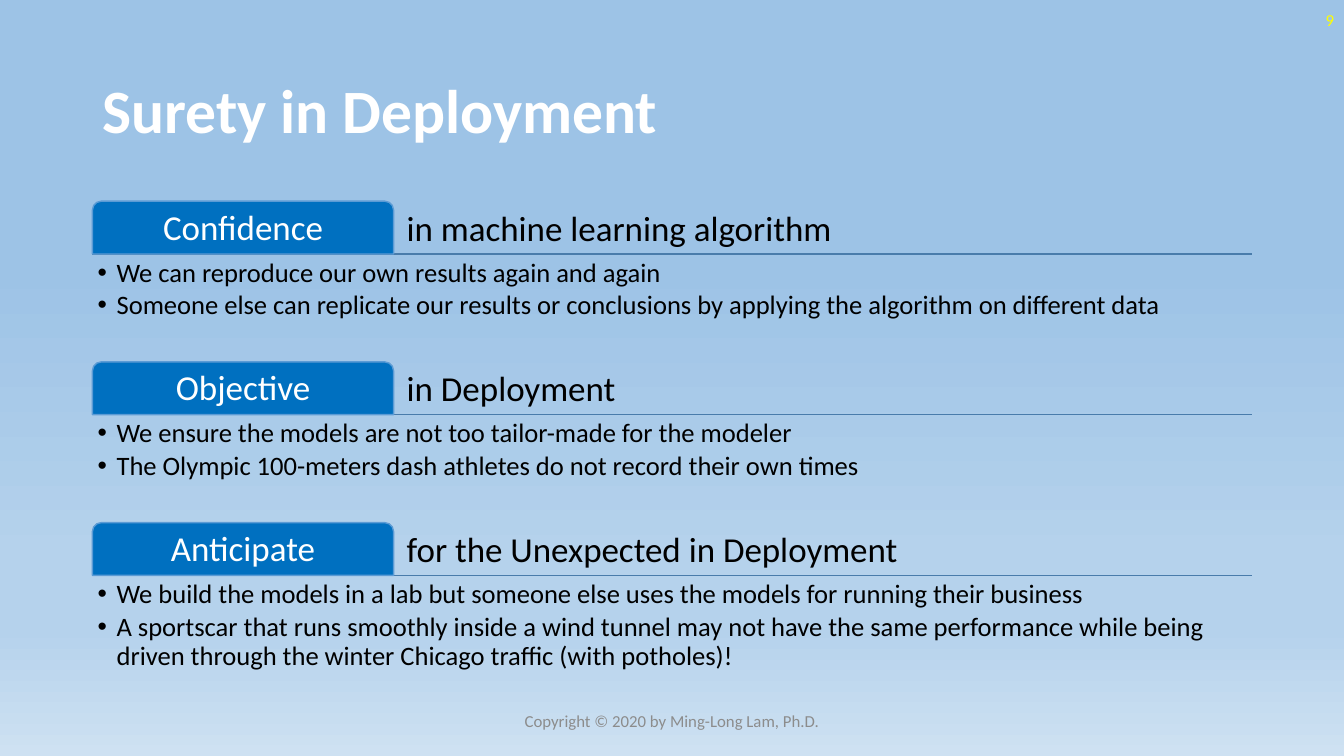
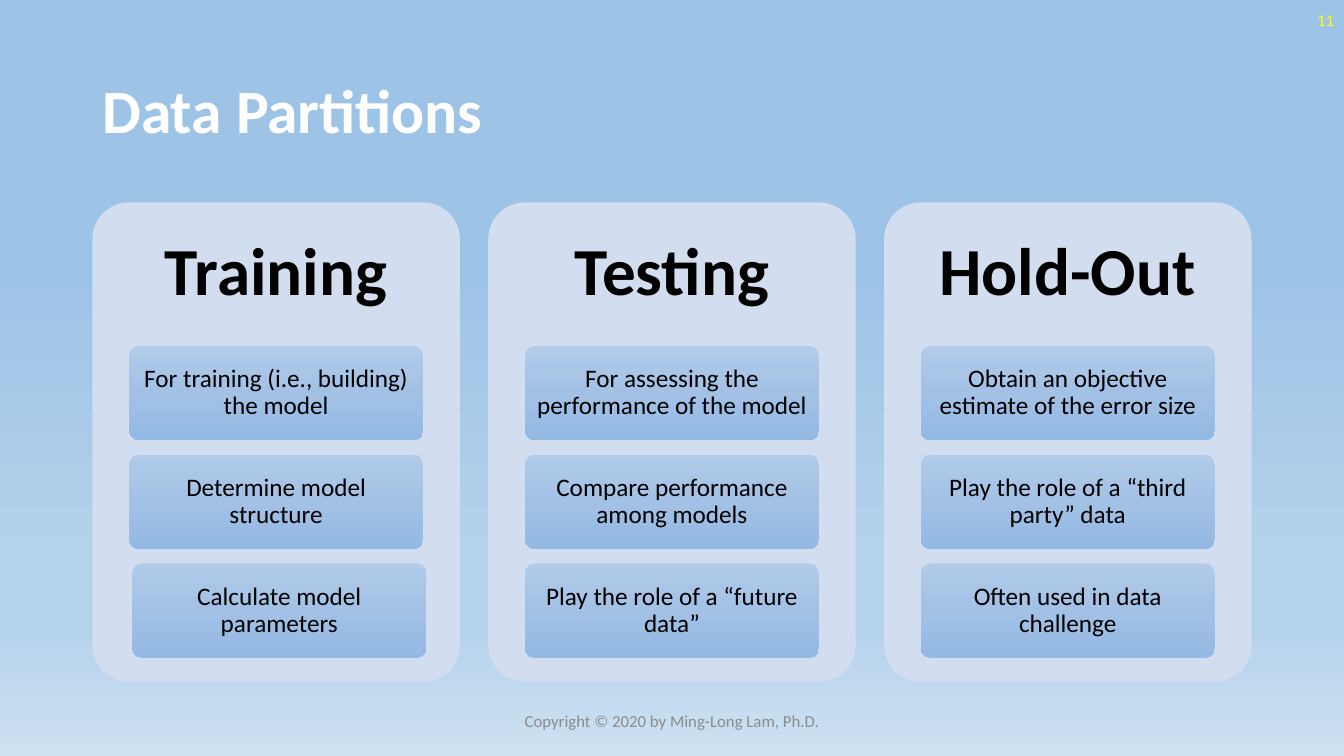
from dataclasses import dataclass

from lxml.etree import SubElement
from pptx import Presentation
from pptx.dml.color import RGBColor
from pptx.enum.shapes import MSO_CONNECTOR, MSO_SHAPE
from pptx.enum.text import MSO_ANCHOR, PP_ALIGN
from pptx.oxml.ns import qn
from pptx.util import Cm, Pt


@dataclass(frozen=True)
class Theme:
    font: str = "Calibri"
    white: str = "FFFFFF"
    black: str = "000000"
    number: str = "FFFF00"
    footer: str = "8C8C8C"
    tab: str = "0070C0"
    tab_line: str = "5B9BD5"
    rule: str = "497CAB"
    panel: str = "D2DEEF"
    background: tuple = ((35, "9DC3E6"), (74, "B5D2EC"), (83, "B5D2EC"), (100, "CEE1F2"))
    card: tuple = ((0, "B1CBE9"), (50, "A3C1E5"), (100, "93B9E4"))
    title_size: float = 44
    panel_size: float = 48
    tab_size: float = 25
    bullet_size: float = 19
    card_size: float = 18
    small_size: float = 12


theme = Theme()


def fill_gradient(fill, element, stops):
    """Fill from top to bottom with (percent, colour) stops."""
    fill.gradient()
    fill.gradient_angle = 270
    stop_list = next(element.iter(qn("a:gsLst")))
    for old_stop in list(stop_list):
        stop_list.remove(old_stop)
    for percent, color in stops:
        stop = SubElement(stop_list, qn("a:gs"), pos=str(percent * 1000))
        SubElement(stop, qn("a:srgbClr"), val=color)


def write_text(shape, lines, size, color, bold=False, align=PP_ALIGN.LEFT,
               anchor=MSO_ANCHOR.MIDDLE, insets=(0.13, 0.13), spacing=0.9, bullet=False):
    """Write one paragraph per line; insets are horizontal and vertical, in cm."""
    frame = shape.text_frame
    frame.word_wrap = True
    frame.vertical_anchor = anchor
    frame.margin_left = frame.margin_right = Cm(insets[0])
    frame.margin_top = frame.margin_bottom = Cm(insets[1])
    for index, line in enumerate(lines):
        paragraph = frame.add_paragraph() if index else frame.paragraphs[0]
        paragraph.alignment = align
        paragraph.line_spacing = spacing
        if bullet:
            paragraph.space_after = Pt(2.85)
            properties = paragraph._p.get_or_add_pPr()
            properties.set("marL", str(Cm(0.48)))
            properties.set("indent", str(-Cm(0.48)))
            SubElement(properties, qn("a:buFont"), typeface="Arial")
            SubElement(properties, qn("a:buChar"), char="•")
        run = paragraph.add_run()
        run.text = line
        run.font.name = theme.font
        run.font.size = Pt(size)
        run.font.bold = bold
        run.font.color.rgb = RGBColor.from_string(color)


presentation = Presentation()
presentation.slide_width = Cm(33.87)
presentation.slide_height = Cm(19.05)

# Shared background
master = presentation.slide_master
fill_gradient(master.background.fill, master._element, theme.background)

# Shared title, slide number and footer
content_left, content_width = 2.33, 29.21
slides = []
for title, number in (("Surety in Deployment", "9"), ("Data Partitions", "11")):
    slide = presentation.slides.add_slide(presentation.slide_layouts[6])
    slides.append(slide)
    box = slide.shapes.add_textbox(Cm(content_left), Cm(1.01), Cm(content_width), Cm(3.68))
    write_text(box, [title], theme.title_size, theme.white, bold=True, insets=(0.25, 0.13))
    box = slide.shapes.add_textbox(Cm(26.25), Cm(0), Cm(7.62), Cm(1.01))
    write_text(box, [number], theme.small_size, theme.number,
               align=PP_ALIGN.RIGHT, insets=(0.25, 0.13), spacing=1.0)
    box = slide.shapes.add_textbox(Cm(11.22), Cm(17.66), Cm(11.43), Cm(1.01))
    write_text(box, ["Copyright © 2020 by Ming-Long Lam, Ph.D."], theme.small_size, theme.footer,
               align=PP_ALIGN.CENTER, insets=(0.25, 0.13), spacing=1.0)

surety_slide, partitions_slide = slides

# Surety in Deployment: three tabbed sections
sections = (
    ("Confidence", "in machine learning algorithm", (
        "We can reproduce our own results again and again",
        "Someone else can replicate our results or conclusions by applying the algorithm "
        "on different data",
    )),
    ("Objective", "in Deployment", (
        "We ensure the models are not too tailor-made for the modeler",
        "The Olympic 100-meters dash athletes do not record their own times",
    )),
    ("Anticipate", "for the Unexpected in Deployment", (
        "We build the models in a lab but someone else uses the models for running their business",
        "A sportscar that runs smoothly inside a wind tunnel may not have the same performance "
        "while being driven through the winter Chicago traffic (with potholes)!",
    )),
)
section_top, section_pitch = 5.07, 4.05
tab_width, tab_height = 7.59, 1.33
for index, (label, heading, bullets) in enumerate(sections):
    top = section_top + index * section_pitch
    rule_top = top + tab_height

    rule = surety_slide.shapes.add_connector(
        MSO_CONNECTOR.STRAIGHT, Cm(content_left), Cm(rule_top),
        Cm(content_left + content_width), Cm(rule_top))
    rule.line.color.rgb = RGBColor.from_string(theme.rule)
    rule.line.width = Pt(1)
    SubElement(rule._element.spPr, qn("a:effectLst"))

    tab = surety_slide.shapes.add_shape(
        MSO_SHAPE.ROUND_2_SAME_RECTANGLE, Cm(content_left), Cm(top), Cm(tab_width), Cm(tab_height))
    tab.shadow.inherit = False
    tab.adjustments[0] = 0.167
    tab.adjustments[1] = 0
    tab.fill.solid()
    tab.fill.fore_color.rgb = RGBColor.from_string(theme.tab)
    tab.line.color.rgb = RGBColor.from_string(theme.tab_line)
    tab.line.width = Pt(1)
    write_text(tab, [label], theme.tab_size, theme.white, align=PP_ALIGN.CENTER)

    box = surety_slide.shapes.add_textbox(
        Cm(content_left + tab_width), Cm(top), Cm(content_width - tab_width), Cm(tab_height))
    write_text(box, [heading], theme.tab_size, theme.black,
               anchor=MSO_ANCHOR.BOTTOM, insets=(0.33, 0.13))

    box = surety_slide.shapes.add_textbox(
        Cm(content_left), Cm(rule_top), Cm(content_width), Cm(2.66))
    write_text(box, bullets, theme.bullet_size, theme.black, anchor=MSO_ANCHOR.TOP, bullet=True)

# Data Partitions: three panels of cards, each card with its shift to the right
partitions = (
    ("Training", (
        ("For training (i.e., building) the model", 0),
        ("Determine model structure", 0),
        ("Calculate model parameters", 0.08),
    )),
    ("Testing", (
        ("For assessing the performance of the model", 0),
        ("Compare performance among models", 0),
        ("Play the role of a “future data”", 0),
    )),
    ("Hold-Out", (
        ("Obtain an objective estimate of the error size", 0),
        ("Play the role of a “third party” data", 0),
        ("Often used in data challenge", 0),
    )),
)
panel_top, panel_width, panel_height = 5.1, 9.26, 12.08
panel_pitch = (content_width - panel_width) / (len(partitions) - 1)
card_top, card_width, card_height, card_pitch = 8.72, 7.41, 2.37, 2.74
for column, (heading, cards) in enumerate(partitions):
    left = content_left + column * panel_pitch
    panel = partitions_slide.shapes.add_shape(
        MSO_SHAPE.ROUNDED_RECTANGLE, Cm(left), Cm(panel_top), Cm(panel_width), Cm(panel_height))
    panel.shadow.inherit = False
    panel.adjustments[0] = 0.1
    panel.fill.solid()
    panel.fill.fore_color.rgb = RGBColor.from_string(theme.panel)
    panel.line.fill.background()

    box = partitions_slide.shapes.add_textbox(
        Cm(left), Cm(panel_top), Cm(panel_width), Cm(3.62))
    write_text(box, [heading], theme.panel_size, theme.black, bold=True,
               align=PP_ALIGN.CENTER, insets=(0.5, 0.5))

    for row, (sentence, shift) in enumerate(cards):
        card = partitions_slide.shapes.add_shape(
            MSO_SHAPE.ROUNDED_RECTANGLE,
            Cm(left + (panel_width - card_width) / 2 + shift), Cm(card_top + row * card_pitch),
            Cm(card_width), Cm(card_height))
        card.shadow.inherit = False
        card.adjustments[0] = 0.1
        fill_gradient(card.fill, card._element, theme.card)
        card.line.fill.background()
        write_text(card, [sentence], theme.card_size, theme.black,
                   align=PP_ALIGN.CENTER, insets=(0.13, 0.1))

presentation.save("out.pptx")
